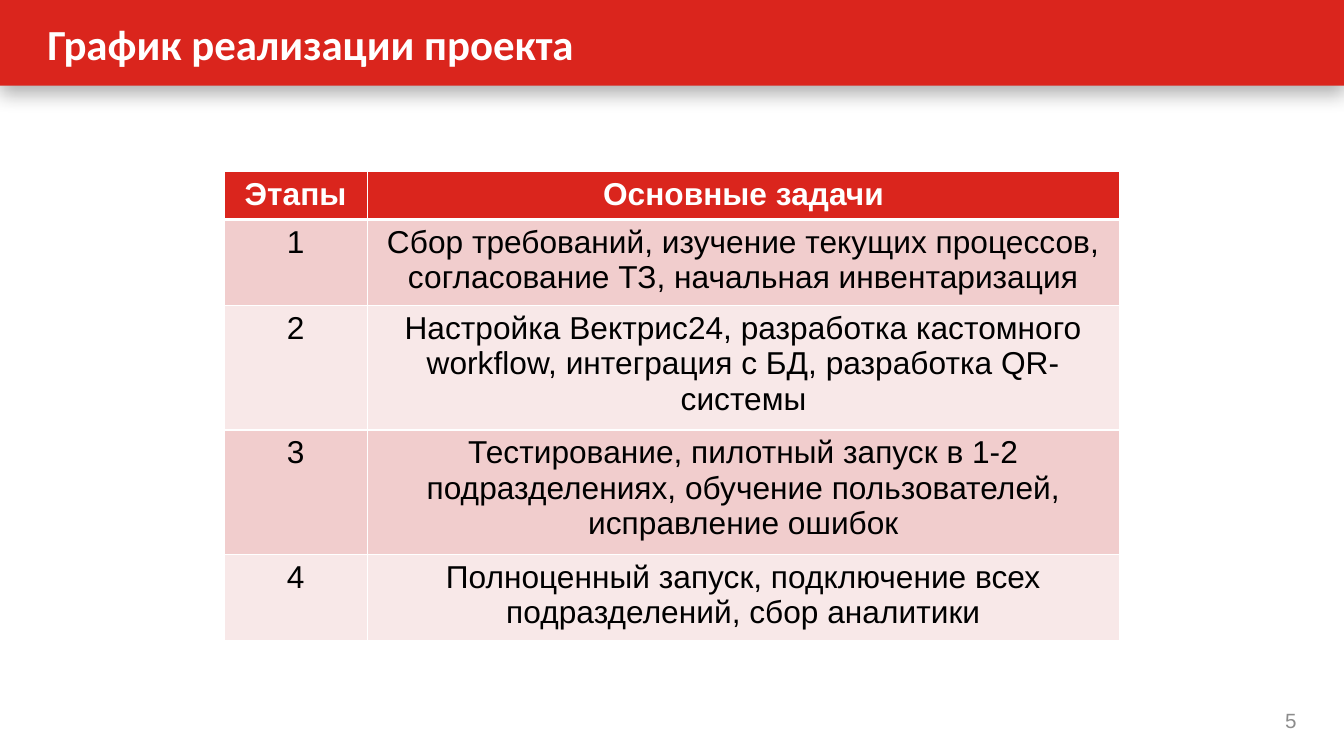
from dataclasses import dataclass

from lxml import etree
from pptx import Presentation
from pptx import util as u
from pptx.dml.color import RGBColor
from pptx.enum import shapes, text
from pptx.oxml import ns

TITLE = "График реализации проекта"
PAGE = "5"
HEADINGS = ("Этапы", "Основные задачи")
STAGES = [
    "Сбор требований, изучение текущих процессов, согласование ТЗ, начальная инвентаризация",
    "Настройка Вектрис24, разработка кастомного workflow, интеграция с БД, разработка QR-системы",
    "Тестирование, пилотный запуск в 1-2 подразделениях, обучение пользователей, исправление ошибок",
    "Полноценный запуск, подключение всех подразделений, сбор аналитики",
]


@dataclass(frozen=True)
class Theme:
    red: str = "DA251D"
    bands: tuple = ("F1CDCD", "F8E8E8")
    white: str = "FFFFFF"
    ink: str = "000000"
    grey: str = "8C8C8C"
    heading_font: str = "Calibri"
    body_font: str = "Arial"
    title_size: float = 30.67
    body_size: float = 22.67
    page_size: float = 14.67


THEME = Theme()
WIDTH, HEIGHT = 13.33, 7.5
BANNER_HEIGHT = 0.85
TITLE_LEFT = 0.34
PAGE_LEFT, PAGE_TOP, PAGE_WIDTH, PAGE_HEIGHT = 12.16, 6.95, 0.83, 0.4
TABLE_WIDTH = WIDTH * 2 / 3
TABLE_LEFT = (WIDTH - TABLE_WIDTH) / 2
TABLE_TOP = 1.7
COLUMN_SHARES = (0.16, 0.84)
ROW_HEIGHT = 0.41


def box(*lengths):
    return [u.Inches(length) for length in lengths]


def write(frame, words, font, size, color, bold=False, align=text.PP_ALIGN.LEFT):
    paragraph = frame.paragraphs[0]
    paragraph.alignment = align
    run = paragraph.add_run()
    run.text = words
    run.font.name = font
    run.font.size = u.Pt(size)
    run.font.bold = bold
    run.font.color.rgb = RGBColor.from_string(color)


def add_label(slide, place, *style, **options):
    frame = slide.shapes.add_textbox(*box(*place)).text_frame
    frame.word_wrap = True
    frame.vertical_anchor = text.MSO_ANCHOR.MIDDLE
    frame.margin_left = frame.margin_right = u.Inches(0.13)
    frame.margin_top = frame.margin_bottom = u.Inches(0.06)
    write(frame, *style, **options)


def add_color(parent, color):
    return etree.SubElement(parent, ns.qn("a:srgbClr"), val=color)


def add_banner(slide):
    banner = slide.shapes.add_shape(
        shapes.MSO_SHAPE.RECTANGLE, *box(0, 0, WIDTH, BANNER_HEIGHT))
    banner.fill.solid()
    banner.fill.fore_color.rgb = RGBColor.from_string(THEME.red)
    banner.line.fill.background()
    banner.shadow.inherit = False
    effects = banner._element.spPr.find(ns.qn("a:effectLst"))
    shadow = etree.SubElement(
        effects, ns.qn("a:outerShdw"), blurRad=str(u.Pt(14)), dist=str(u.Pt(5)),
        dir="5400000", algn="t", rotWithShape="0")
    etree.SubElement(add_color(shadow, THEME.ink), ns.qn("a:alpha"), val="31000")


def set_borders(cell, widths):
    properties = cell._tc.get_or_add_tcPr()
    for position, (side, width) in enumerate(widths.items()):
        border = etree.Element(ns.qn(f"a:ln{side}"), w=str(u.Pt(width)))
        add_color(etree.SubElement(border, ns.qn("a:solidFill")), THEME.white)
        properties.insert(position, border)


def add_schedule(slide):
    rows = [HEADINGS] + [(str(n), task) for n, task in enumerate(STAGES, 1)]
    schedule = slide.shapes.add_table(
        len(rows), len(HEADINGS),
        *box(TABLE_LEFT, TABLE_TOP, TABLE_WIDTH, ROW_HEIGHT * len(rows))).table
    for column, share in zip(schedule.columns, COLUMN_SHARES):
        column.width = u.Inches(TABLE_WIDTH * share)
    for r, row in enumerate(rows):
        heading = r == 0
        fill = THEME.red if heading else THEME.bands[(r - 1) % 2]
        ink = THEME.white if heading else THEME.ink
        widths = {"L": 1, "R": 1, "T": 3 if r == 1 else 1, "B": 3 if heading else 1}
        for c, words in enumerate(row):
            cell = schedule.cell(r, c)
            cell.fill.solid()
            cell.fill.fore_color.rgb = RGBColor.from_string(fill)
            set_borders(cell, widths)
            write(cell.text_frame, words, THEME.body_font, THEME.body_size, ink,
                  bold=heading, align=text.PP_ALIGN.CENTER)


def main():
    deck = Presentation()
    deck.slide_width, deck.slide_height = box(WIDTH, HEIGHT)
    slide = deck.slides.add_slide(deck.slide_layouts[6])
    add_banner(slide)
    add_label(slide, (TITLE_LEFT, 0, PAGE_LEFT, BANNER_HEIGHT), TITLE,
              THEME.heading_font, THEME.title_size, THEME.white, bold=True)
    add_label(slide, (PAGE_LEFT, PAGE_TOP, PAGE_WIDTH, PAGE_HEIGHT), PAGE,
              THEME.body_font, THEME.page_size, THEME.grey, align=text.PP_ALIGN.RIGHT)
    add_schedule(slide)
    deck.save("out.pptx")


if __name__ == "__main__":
    main()
